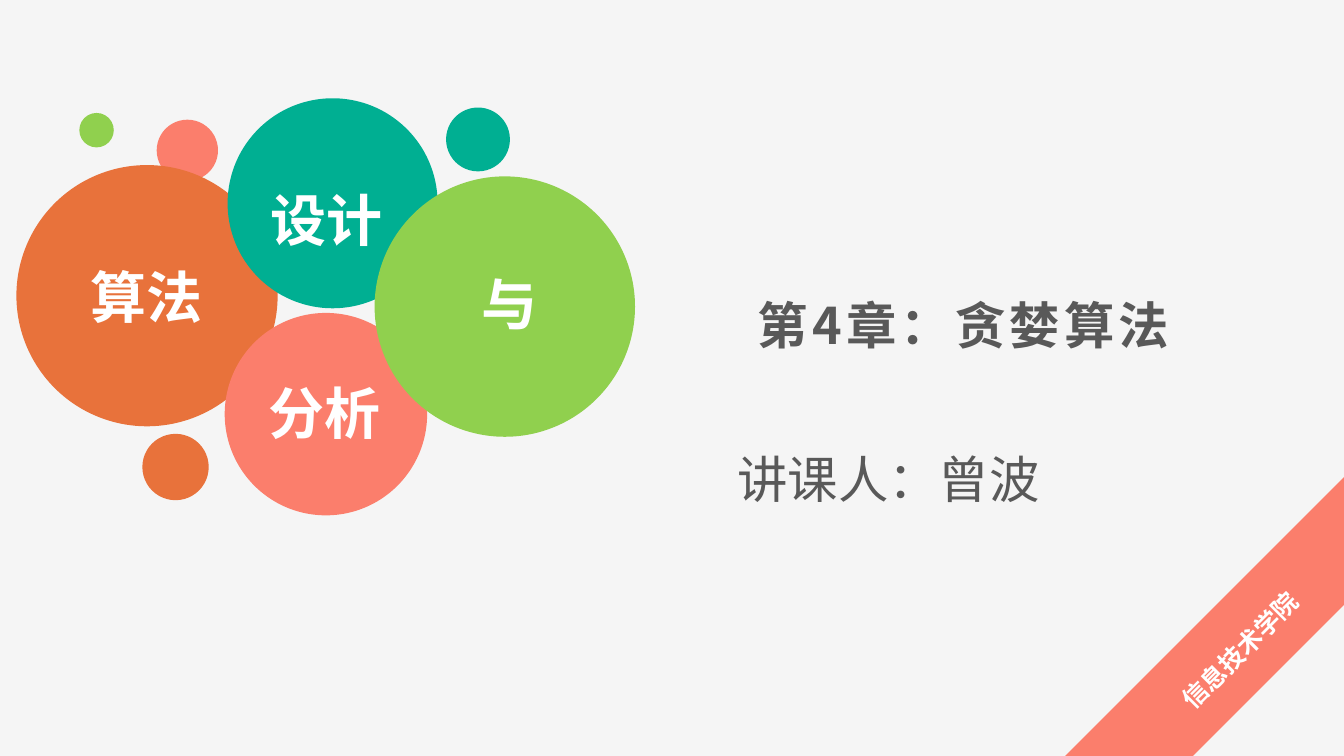
from dataclasses import dataclass

from pptx import Presentation
from pptx.dml.color import RGBColor
from pptx.enum.shapes import MSO_SHAPE
from pptx.enum.text import MSO_ANCHOR, PP_ALIGN
from pptx.oxml.ns import qn
from pptx.util import Inches, Pt

CIRCLE, STRIPE = MSO_SHAPE.OVAL, MSO_SHAPE.DIAGONAL_STRIPE
MIDDLE, LEFT, CENTER = MSO_ANCHOR.MIDDLE, PP_ALIGN.LEFT, PP_ALIGN.CENTER

# Grid of square cells across the slide
SLIDE_WIDTH, SLIDE_HEIGHT = Inches(13.333), Inches(7.5)
COLUMNS, ROWS = 16, 9
CELL = SLIDE_HEIGHT / ROWS


@dataclass(frozen=True)
class Theme:
    background: str = "F5F5F5"
    ink: str = "595959"
    white: str = "FFFFFF"
    orange: str = "E8723B"
    teal: str = "00AF92"
    coral: str = "FB7E6C"
    green: str = "90D04E"
    cjk_font: str = "Noto Sans CJK SC"
    bubble_font: str = "Arial"
    heading_size: int = 36
    bubble_size: int = 40
    ribbon_size: int = 18


THEME = Theme()

# Column and row of the centre, diameter, colour
DOTS = [
    (2.09, 5.56, 0.79, THEME.orange),
    (5.69, 1.66, 0.76, THEME.teal),
    (2.23, 1.79, 0.73, THEME.coral),
    (1.15, 1.55, 0.41, THEME.green),
]

# Word, centre of the bubble, diameter, colour, centre of the word
BUBBLES = [
    ("算法", (1.75, 3.52), 3.11, THEME.orange, (1.74, 3.52)),
    ("设计", (3.96, 2.42), 2.5, THEME.teal, (3.89, 2.61)),
    ("分析", (3.88, 4.93), 2.41, THEME.coral, (3.86, 4.91)),
    ("与", (6.01, 3.65), 3.1, THEME.green, (6.07, 3.61)),
]


def cells(center, size):
    """Left, top, width and height of a box centred on a grid point."""
    (column, row), (width, height) = center, size
    box = (column - width / 2, row - height / 2, width, height)
    return [round(length * CELL) for length in box]


def add_filled(shapes, kind, center, diameter, color):
    figure = shapes.add_shape(kind, *cells(center, (diameter, diameter)))
    figure.shadow.inherit = False
    figure.fill.solid()
    figure.fill.fore_color.rgb = RGBColor.from_string(color)
    figure.line.fill.background()
    return figure


def write(box, text, size, color, font=THEME.cjk_font, bold=False,
          align=CENTER, line_spacing=1.0, tracking=0, wrap=True):
    frame = box.text_frame
    frame.text = text
    frame.word_wrap = wrap
    frame.vertical_anchor = MIDDLE
    paragraph = frame.paragraphs[0]
    paragraph.alignment = align
    paragraph.line_spacing = line_spacing
    run = paragraph.runs[0]
    run.font.size = Pt(size)
    run.font.bold = bold
    run.font.name = font
    run.font.color.rgb = RGBColor.from_string(color)
    # East Asian typeface and letter spacing
    properties = run.font._element
    east_asian = properties.makeelement(qn("a:ea"), {"typeface": THEME.cjk_font})
    properties.find(qn("a:latin")).addnext(east_asian)
    if tracking:
        properties.set("spc", str(tracking * 100))


def add_bubble(slide, word, center, diameter, color, word_center):
    bubble = slide.shapes.add_group_shape().shapes
    add_filled(bubble, CIRCLE, center, diameter, color)
    label = bubble.add_textbox(*cells(word_center, (2, 0.92)))
    write(label, word, THEME.bubble_size, THEME.white,
          font=THEME.bubble_font, bold=True)


def add_title(slide):
    title = slide.shapes.title
    title.left, title.top, title.width, title.height = cells(
        (11.47, 3.86), (8.8, 0.85))
    write(title, "第4章：贪婪算法", THEME.heading_size, THEME.ink,
          bold=True, tracking=3)


def add_presenter(slide):
    presenter = slide.shapes.add_textbox(*cells((11.48, 5.52), (5.64, 1.08)))
    write(presenter, "讲课人：曾波", THEME.heading_size, THEME.ink,
          align=LEFT, line_spacing=1.5)


def add_corner_ribbon(slide):
    side = 3.32
    corner = (COLUMNS - side / 2, ROWS - side / 2)
    ribbon = add_filled(slide.shapes, STRIPE, corner, side, THEME.coral)
    ribbon.adjustments[0] = 0.542
    ribbon.rotation = 180
    school = slide.shapes.add_textbox(*cells((14.75, 7.73), (2.06, 0.49)))
    school.rotation = 315
    write(school, "信息技术学院", THEME.ribbon_size, THEME.white,
          bold=True, line_spacing=1.1, wrap=False)


def main():
    deck = Presentation()
    deck.slide_width, deck.slide_height = SLIDE_WIDTH, SLIDE_HEIGHT
    title_only = deck.slide_layouts[5]
    slide = deck.slides.add_slide(title_only)
    backdrop = slide.background.fill
    backdrop.solid()
    backdrop.fore_color.rgb = RGBColor.from_string(THEME.background)

    # Chapter and presenter
    add_title(slide)
    add_presenter(slide)

    # Cluster of circles with the course name
    for column, row, diameter, color in DOTS:
        add_filled(slide.shapes, CIRCLE, (column, row), diameter, color)
    for bubble in BUBBLES:
        add_bubble(slide, *bubble)

    # School name across the corner
    add_corner_ribbon(slide)
    deck.save("out.pptx")


if __name__ == "__main__":
    main()
